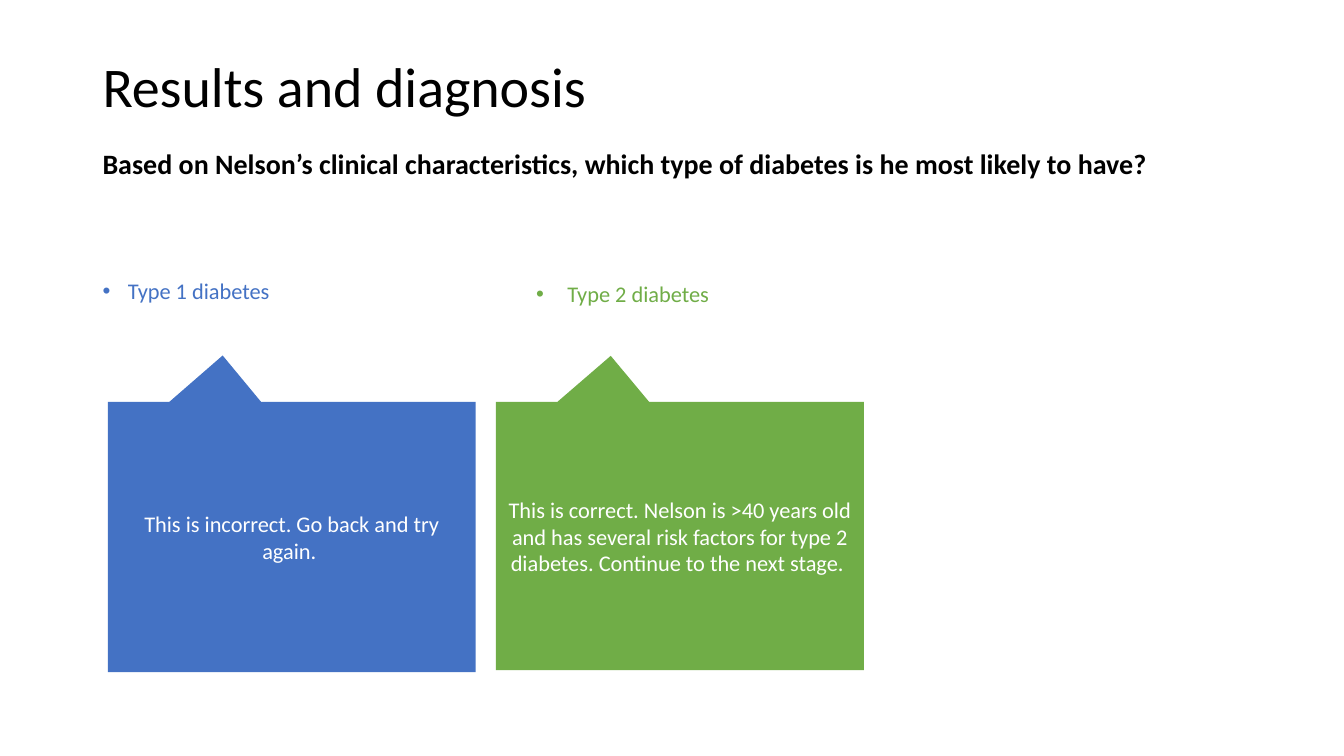
from lxml.etree import SubElement
from pptx import Presentation
from pptx.dml.color import RGBColor
from pptx.enum.shapes import MSO_SHAPE as Shape
from pptx.enum.text import MSO_ANCHOR as Anchor, MSO_AUTO_SIZE as AutoSize, PP_ALIGN as Align
from pptx.oxml.ns import qn
from pptx.util import Cm, Pt

FONT = "Calibri"
BLUE, GREEN, BLACK, WHITE = "4472C4", "70AD47", "000000", "FFFFFF"

TITLE = "Results and diagnosis"
QUESTION = "Based on Nelson’s clinical characteristics, which type of diabetes is he most likely to have?"
ANSWERS = ["Type 1 diabetes", "Type 2 diabetes"]
# feedback text, fill, height in cm
FEEDBACK = [
    ("This is incorrect. Go back and try again. ", BLUE, 6.81),
    ("This is correct. Nelson is >40 years old and has several risk factors "
     "for type 2 diabetes. Continue to the next stage. ", GREEN, 6.76),
]

MARGIN, CONTENT_WIDTH = 2.33, 29.21
ANSWER_TOP = 6.93
CALLOUT_LEFT, CALLOUT_TOP, CALLOUT_WIDTH, CALLOUT_STEP = 2.72, 10.13, 9.27, 9.78


def color(hex_string):
    return RGBColor.from_string(hex_string)


def place(shape, left, top, width, height):
    shape.left, shape.top, shape.width, shape.height = Cm(left), Cm(top), Cm(width), Cm(height)


def format_text(para, size, hex_string, bold=False):
    for span in para.runs:
        span.font.name = FONT
        span.font.size = Pt(size)
        span.font.bold = bold
        span.font.color.rgb = color(hex_string)


def add_bullet(para, indent):
    """Give the paragraph a round bullet with a hanging indent in cm."""
    props = para._p.get_or_add_pPr()
    props.set("marL", str(Cm(indent)))
    props.set("indent", str(-Cm(indent)))
    SubElement(props, qn("a:buFont"), typeface="Arial")
    SubElement(props, qn("a:buChar"), char="•")


def add_heading(page):
    title = page.shapes.title
    place(title, MARGIN, 1.17, CONTENT_WIDTH, 3.68)
    frame = title.text_frame
    frame.text = f"{TITLE}\n{QUESTION}"
    frame.auto_size = AutoSize.NONE
    frame.vertical_anchor = Anchor.MIDDLE
    heading, question = frame.paragraphs
    format_text(heading, 40, BLACK)
    format_text(question, 20, BLACK, bold=True)
    question.space_before = Pt(22)
    for para in frame.paragraphs:
        para.alignment = Align.LEFT
        para.line_spacing = 0.9


def add_answers(page):
    first = page.placeholders[1]
    place(first, MARGIN, ANSWER_TOP, CONTENT_WIDTH, 10.24)
    frame = first.text_frame
    frame.text = ANSWERS[0]
    frame.auto_size = AutoSize.NONE
    frame._txBody.bodyPr.set("numCol", "3")
    para = frame.paragraphs[0]
    para.line_spacing = 0.9
    para.space_before = Pt(10)
    format_text(para, 16, BLUE)
    add_bullet(para, 0.64)

    second = page.shapes.add_textbox(Cm(13.26), Cm(ANSWER_TOP), Cm(4.93), Cm(0.94))
    second.text_frame.text = ANSWERS[1]
    second.text_frame.word_wrap = False
    para = second.text_frame.paragraphs[0]
    format_text(para, 16, GREEN)
    add_bullet(para, 0.79)


def add_callout(page, index, text, fill, height):
    callout = page.shapes.add_shape(
        Shape.RECTANGULAR_CALLOUT, Cm(CALLOUT_LEFT + index * CALLOUT_STEP),
        Cm(CALLOUT_TOP), Cm(CALLOUT_WIDTH), Cm(height))
    callout.adjustments[0] = -0.188
    callout.adjustments[1] = -0.672
    callout.shadow.inherit = False
    callout.fill.solid()
    callout.fill.fore_color.rgb = color(fill)
    callout.line.fill.background()
    frame = callout.text_frame
    frame.text = text
    frame.word_wrap = True
    frame.vertical_anchor = Anchor.MIDDLE
    para = frame.paragraphs[0]
    para.alignment = Align.CENTER
    format_text(para, 16, WHITE)


def main():
    deck = Presentation()
    deck.slide_width, deck.slide_height = Cm(33.87), Cm(19.05)
    page = deck.slides.add_slide(deck.slide_layouts[1])
    add_heading(page)
    add_answers(page)
    for index, (text, fill, height) in enumerate(FEEDBACK):
        add_callout(page, index, text, fill, height)
    deck.save("out.pptx")


if __name__ == "__main__":
    main()
